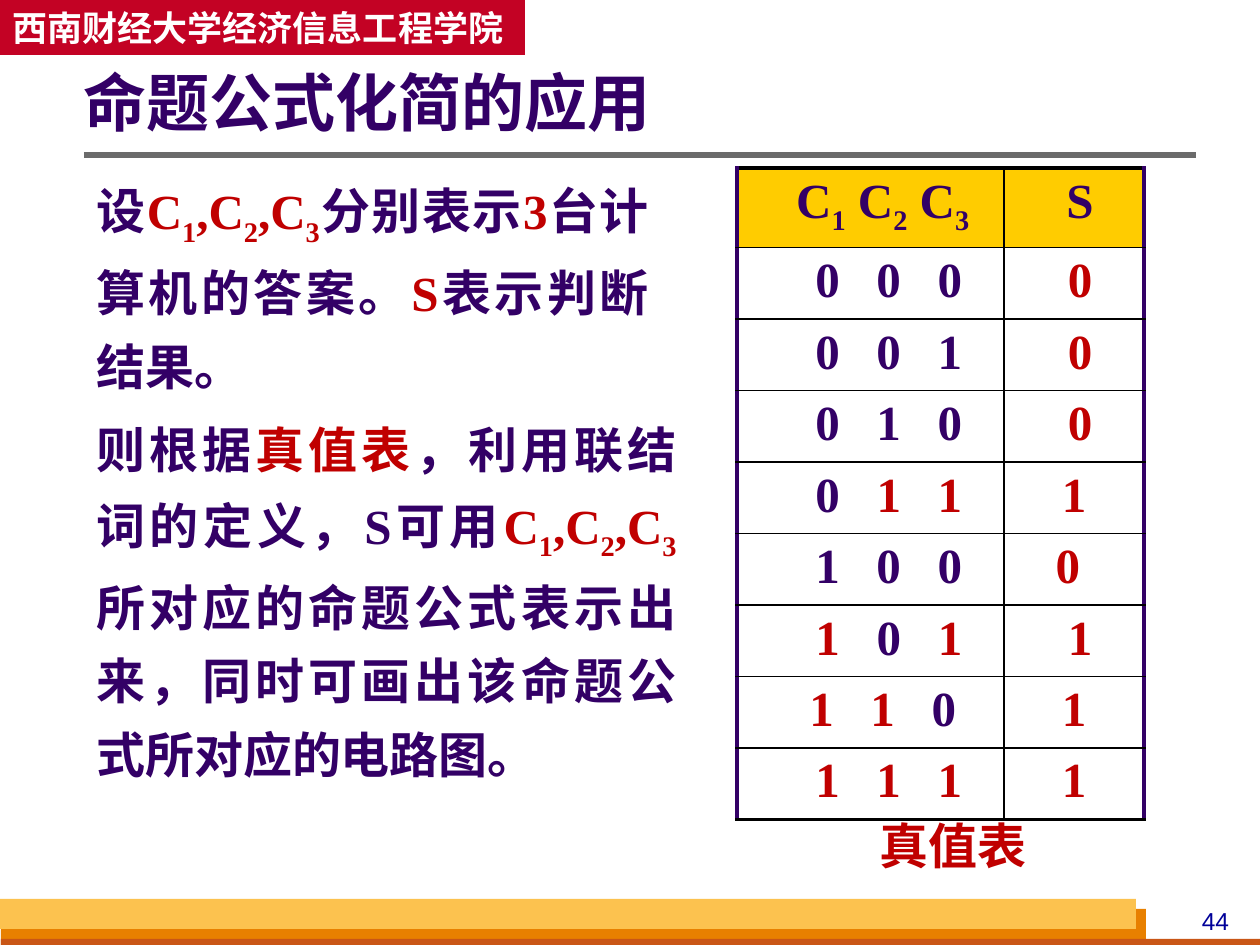
from itertools import product

from lxml.etree import SubElement
from pptx import Presentation
from pptx.dml.color import RGBColor
from pptx.enum.shapes import MSO_CONNECTOR, MSO_SHAPE
from pptx.enum.text import MSO_ANCHOR as Anchor, PP_ALIGN as Align
from pptx.oxml.ns import qn
from pptx.util import Pt

PX = 914400 // 126

PURPLE = RGBColor(0x33, 0x00, 0x66)
RED = RGBColor(0xC0, 0x00, 0x00)
CRIMSON = RGBColor(0xC3, 0x02, 0x24)
ORANGE = RGBColor(0xE8, 0x80, 0x00)
RUST = RGBColor(0xC9, 0x56, 0x16)
AMBER = RGBColor(0xFC, 0xC2, 0x4F)
GOLD = RGBColor(0xFF, 0xCC, 0x00)
GREY = RGBColor(0x6B, 0x6B, 0x6B)
NAVY = RGBColor(0x00, 0x00, 0x99)
WHITE = RGBColor(0xFF, 0xFF, 0xFF)
BLACK = RGBColor(0x00, 0x00, 0x00)

CJK = "Noto Sans CJK SC"
SERIF = "Times New Roman"

# Horizontal nudges in points of each truth table row
BIT_SHIFTS = [14, 14, 14, 14, 14, 14, 7, 14]
RESULT_SHIFTS = [7, 7, 7, 0, -7, 7, 0, 0]
BIT_SPACING = 7


def variables(color, separator):
    """Runs for C1, C2, C3 with subscript digits."""
    runs = []
    for index in "123":
        runs.append(("C" if index == "1" else separator + "C", color))
        runs.append((index, color, True))
    return runs


def write(paragraph, runs, size=28, font=SERIF, bold=True, align=None, spacing=0):
    paragraph.alignment = align
    paragraph.font.size = Pt(size)
    paragraph.font.bold = bold
    paragraph.font.name = font
    for text, color, *subscript in runs:
        run = paragraph.add_run()
        run.text = text
        run.font.color.rgb = color
        properties = run._r.get_or_add_rPr()
        SubElement(properties, qn("a:ea")).set("typeface", CJK)
        if subscript:
            properties.set("baseline", "-25000")
        if spacing:
            properties.set("spc", str(spacing * 100))


def add_text(slide, box, runs, wrap=True, anchor=Anchor.TOP, line_spacing=None, **style):
    shape = slide.shapes.add_textbox(*(value * PX for value in box))
    frame = shape.text_frame
    frame.word_wrap = wrap
    frame.vertical_anchor = anchor
    paragraph = frame.paragraphs[0]
    paragraph.line_spacing = line_spacing
    write(paragraph, runs, **style)
    return frame


def add_bar(slide, box, color):
    shape = slide.shapes.add_shape(MSO_SHAPE.RECTANGLE, *(value * PX for value in box))
    shape.shadow.inherit = False
    shape.fill.solid()
    shape.fill.fore_color.rgb = color
    shape.line.fill.background()
    return shape


def add_rule(slide, left, right, y):
    rule = slide.shapes.add_connector(
        MSO_CONNECTOR.STRAIGHT, left * PX, y * PX, right * PX, y * PX)
    rule.line.color.rgb = GREY
    rule.line.width = Pt(3)
    SubElement(rule._element.spPr, qn("a:effectLst"))


def set_borders(cell, borders):
    """Draw borders given as (side, color, points) in the order L, R, T, B."""
    properties = cell._tc.get_or_add_tcPr()
    for position, (side, color, points) in enumerate(borders):
        line = SubElement(properties, qn(f"a:ln{side}"), w=str(int(Pt(points))))
        fill = SubElement(line, qn("a:solidFill"))
        SubElement(fill, qn("a:srgbClr")).set("val", str(color))
        properties.insert(position, line)


def fill_cell(table, row, column, runs, shift, spacing=0):
    cell = table.cell(row, column)
    last_row = len(table.rows) - 1
    cell.fill.solid()
    cell.fill.fore_color.rgb = WHITE if row else GOLD
    cell.margin_left = Pt(7.2 + max(shift, 0))
    cell.margin_right = Pt(7.2 + max(-shift, 0))
    thin, thick = (BLACK, 1), (BLACK, 2.25)
    outer = (PURPLE, 2.25)
    set_borders(cell, [
        ("L", *(thin if column else outer)),
        ("R", *(outer if column else thin)),
        ("T", *(thin if row else thick)),
        ("B", *(thick if row == last_row else thin)),
    ])
    write(cell.text_frame.paragraphs[0], runs, align=Align.CENTER, spacing=spacing)


def add_truth_table(slide, left, top, widths, height):
    inputs = list(product((0, 1), repeat=3))
    row_count = len(inputs) + 1
    table = slide.shapes.add_table(
        row_count, 2, left * PX, top * PX, sum(widths) * PX, height * PX).table
    table.first_row = table.horz_banding = False
    for column, width in zip(table.columns, widths):
        column.width = width * PX
    for row in table.rows:
        row.height = height * PX // row_count

    fill_cell(table, 0, 0, variables(PURPLE, " "), 14)
    fill_cell(table, 0, 1, [("S", PURPLE)], 7)
    for row, (bits, bit_shift, result_shift) in enumerate(
            zip(inputs, BIT_SHIFTS, RESULT_SHIFTS), start=1):
        majority = int(sum(bits) >= 2)
        runs = [(f"{bit} " if place < 2 else str(bit), RED if bit and majority else PURPLE)
                for place, bit in enumerate(bits)]
        # The letter spacing also trails the last digit, so it is added to the shift
        fill_cell(table, row, 0, runs, bit_shift + BIT_SPACING, BIT_SPACING)
        fill_cell(table, row, 1, [(str(majority), RED)], result_shift)


def main():
    presentation = Presentation()
    presentation.slide_width = 1260 * PX
    presentation.slide_height = 945 * PX
    slide = presentation.slides.add_slide(presentation.slide_layouts[6])

    # Banner
    banner = add_bar(slide, (0, 0, 525, 55), CRIMSON)
    banner.text_frame.vertical_anchor = Anchor.MIDDLE
    write(banner.text_frame.paragraphs[0], [("西南财经大学经济信息工程学院", WHITE)],
          size=20, font=CJK, align=Align.LEFT)

    # Footer bars and page number
    add_bar(slide, (1, 909, 1145, 36), ORANGE)
    add_bar(slide, (1, 939, 1260, 10), RUST)
    add_bar(slide, (0, 899, 1136, 30), AMBER)
    add_text(slide, (1176, 900, 79, 42), [("44", NAVY)],
             size=14, font="Arial", bold=False, align=Align.CENTER)

    # Title
    add_rule(slide, 84, 1196, 155)
    title = add_text(slide, (84, 63, 1111, 87), [("命题公式化简的应用", PURPLE)],
                     anchor=Anchor.MIDDLE, line_spacing=0.9, size=36, font=CJK)
    title.margin_left = 0

    # Explanation
    add_text(slide, (84, 158, 577, 220), [
        ("设", PURPLE), *variables(RED, ","), ("分别表示", PURPLE), ("3", RED),
        ("台计算机的答案。", PURPLE), ("S", RED), ("表示判断结果。", PURPLE),
    ], line_spacing=1.25, align=Align.JUSTIFY)
    add_text(slide, (84, 399, 605, 374), [
        ("则根据", PURPLE), ("真值表", RED), ("，利用联结词的定义，S可用", PURPLE),
        *variables(RED, ","),
        ("所对应的命题公式表示出来，同时可画出该命题公式所对应的电路图。", PURPLE),
    ], line_spacing=1.25, align=Align.JUSTIFY)

    # Truth table and caption
    add_truth_table(slide, 737, 168, (267, 140), 643)
    add_text(slide, (867, 809, 173, 72), [("真值表", RED)], wrap=False, font=CJK)

    presentation.save("out.pptx")


if __name__ == "__main__":
    main()
